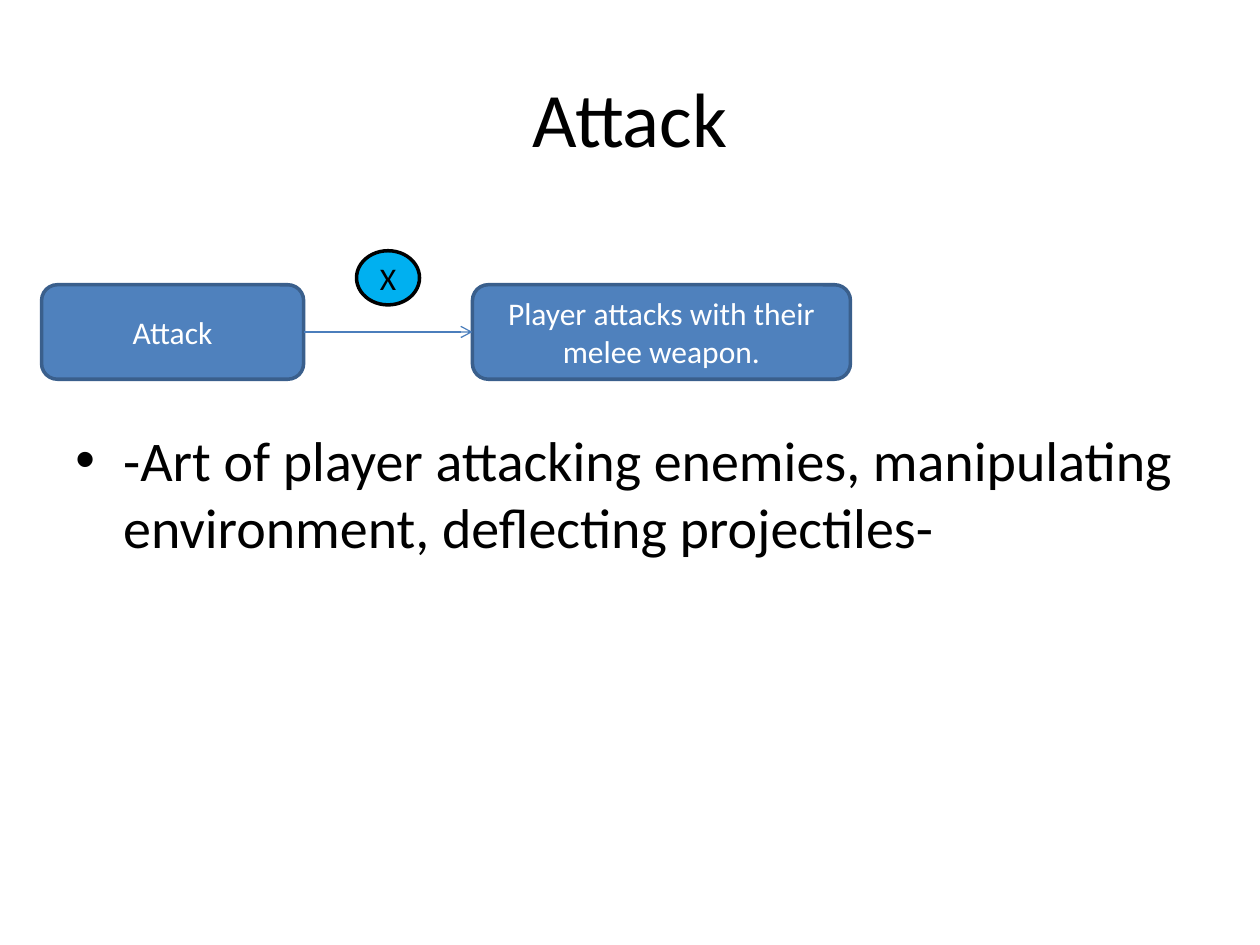
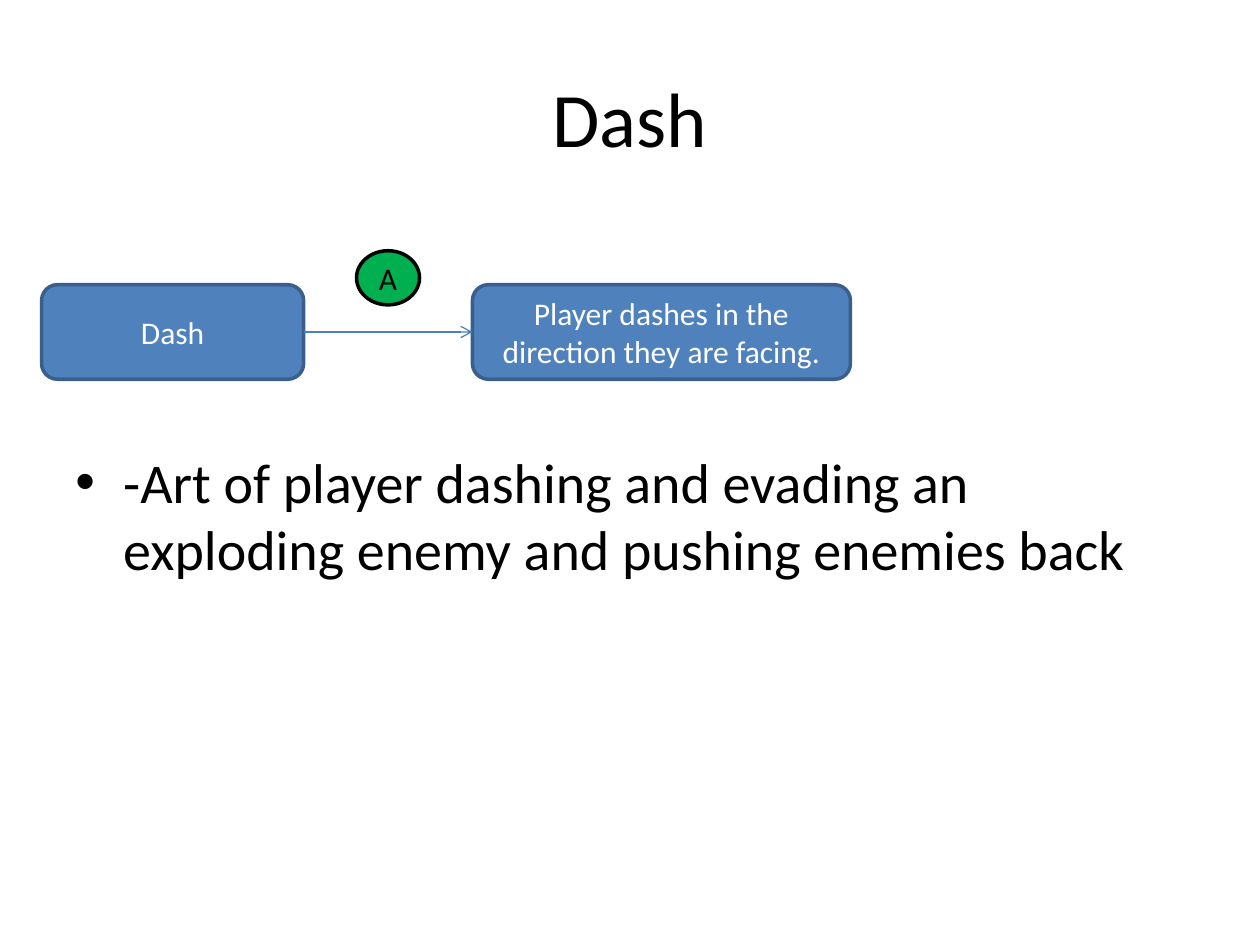
from dataclasses import dataclass
from lxml.etree import SubElement as Sub
from pptx import Presentation
from pptx.dml.color import RGBColor as Rgb
from pptx.enum.shapes import MSO_CONNECTOR as Link, MSO_SHAPE as Kind
from pptx.enum.text import MSO_ANCHOR as Anchor, PP_ALIGN as Align
from pptx.oxml.ns import qn
from pptx.util import Inches, Pt


@dataclass(frozen=True)
class Theme:
    font: str = "Calibri"
    black: str = "000000"
    white: str = "FFFFFF"
    box: str = "4F81BD"
    edge: str = "3A5F8C"
    arrow: str = "4B7EBC"
    blue: str = "00B0F0"
    green: str = "00B050"
    title: int = 44
    body: int = 32
    label: int = 18
    border: float = 2
    thin: float = 0.75


THEME = Theme()


def write(shape, text, size, color=THEME.black, align=Align.CENTER, anchor=Anchor.MIDDLE):
    frame = shape.text_frame
    frame.word_wrap = True
    frame.vertical_anchor = anchor
    para = frame.paragraphs[0]
    para.alignment = align
    run = para.add_run()
    run.text = text
    run.font.name = THEME.font
    run.font.size = Pt(size)
    run.font.color.rgb = Rgb.from_string(color)
    return para


def node(slide, kind, box, text, fill, line, color):
    shape = slide.shapes.add_shape(kind, *map(Inches, box))
    shape.shadow.inherit = False
    shape.fill.solid()
    shape.fill.fore_color.rgb = Rgb.from_string(fill)
    shape.line.color.rgb = Rgb.from_string(line)
    shape.line.width = Pt(THEME.border)
    write(shape, text, THEME.label, color)
    return shape


def join(slide, start, end):
    line = slide.shapes.add_connector(Link.STRAIGHT, 0, 0, 0, 0)
    line.begin_connect(start, 3)
    line.end_connect(end, 1)
    line.line.color.rgb = Rgb.from_string(THEME.arrow)
    line.line.width = Pt(THEME.thin)
    Sub(line.line._get_or_add_ln(), qn("a:tailEnd"), type="arrow")
    Sub(line._element.spPr, qn("a:effectLst"))


def header(slide, box, text):
    title = slide.shapes.title
    title.left, title.top, title.width, title.height = map(Inches, box)
    write(title, text, THEME.title)


def flow(slide, box, name, key, tint, result):
    left, top, width, height = box
    style = THEME.box, THEME.edge, THEME.white
    start = node(slide, Kind.ROUNDED_RECTANGLE, (left, top, 2.08, height), name, *style)
    node(slide, Kind.OVAL, (left + 2.5, top - 0.27, 0.5, 0.43), key,
         tint, THEME.black, THEME.black)
    end = node(slide, Kind.ROUNDED_RECTANGLE, (left + width - 3, top, 3, height), result, *style)
    join(slide, start, end)


def bullet(slide, box, text):
    area = slide.shapes.add_textbox(*map(Inches, box))
    para = write(area, text, THEME.body, align=Align.LEFT, anchor=Anchor.TOP)
    props = para._p.get_or_add_pPr()
    props.set("marL", str(Inches(0.38)))
    props.set("indent", str(Inches(-0.38)))
    Sub(Sub(props, qn("a:spcBef")), qn("a:spcPct"), val="20000")
    Sub(props, qn("a:buFont"), typeface="Arial")
    Sub(props, qn("a:buChar"), char="•")


def move(deck, name, key, tint, result, note, area):
    slide = deck.slides.add_slide(deck.slide_layouts[5])
    header(slide, (0.5, 0.3, 9, 1.25), name)
    bullet(slide, area, note)
    flow(slide, (0.33, 2.26, 6.42, 0.75), name, key, tint, result)


def main():
    deck = Presentation()
    deck.slide_width, deck.slide_height = Inches(10), Inches(7.5)
    move(deck, "Attack", "X", THEME.blue, "Player attacks with their melee weapon.",
         "-Art of player attacking enemies, manipulating environment, deflecting projectiles-",
         (0.5, 3.33, 9, 1.58))
    move(deck, "Dash", "A", THEME.green, "Player dashes in the direction they are facing.",
         "-Art of player dashing and evading an exploding enemy and pushing enemies back",
         (0.5, 3.5, 9, 1.67))
    deck.save("out.pptx")


if __name__ == "__main__":
    main()
